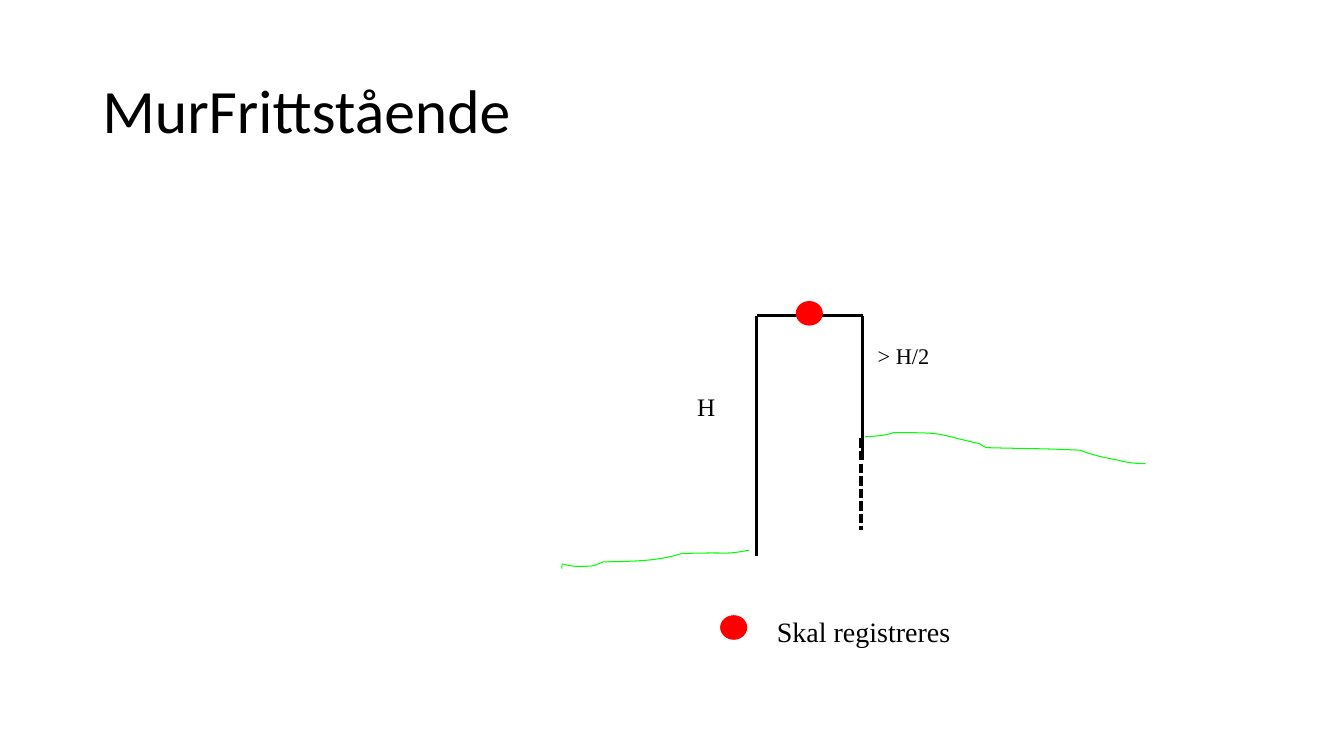
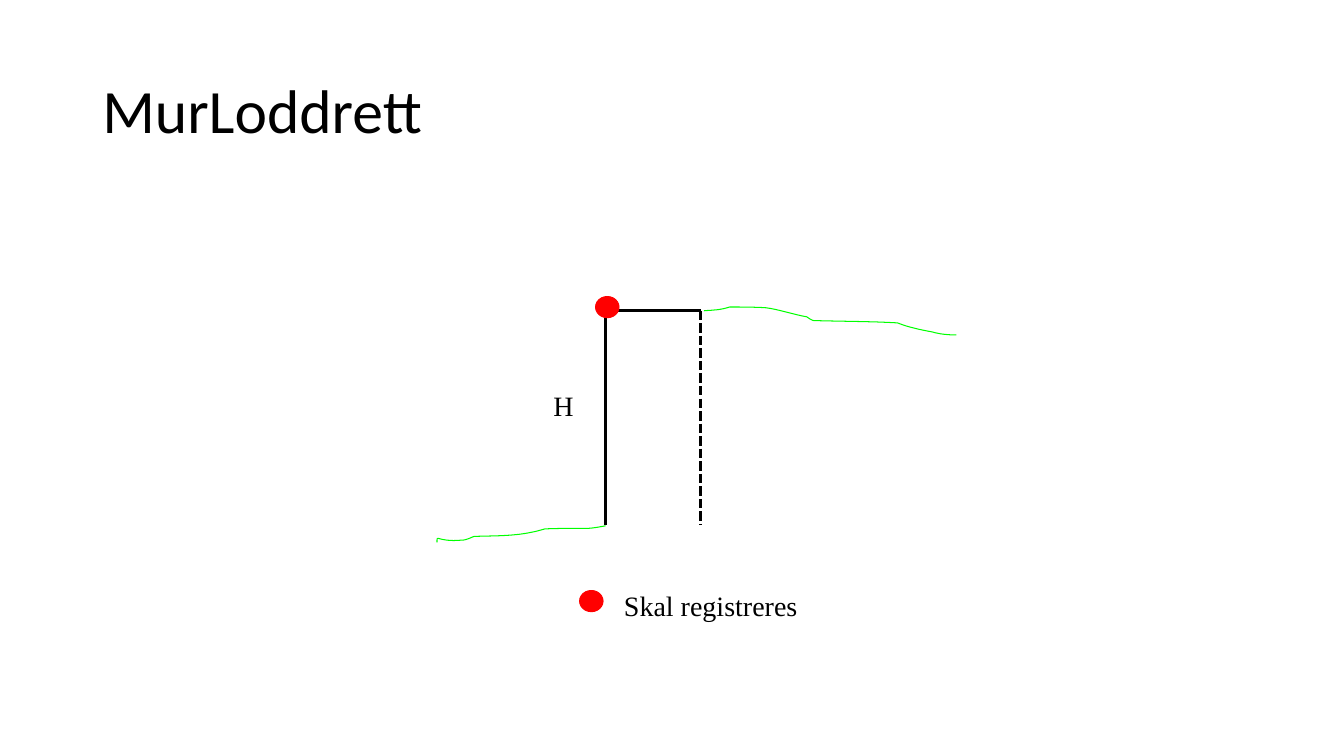
from dataclasses import dataclass
from lxml.etree import SubElement
from pptx import Presentation
from pptx.dml.color import RGBColor
from pptx.enum.dml import MSO_LINE
from pptx.enum.shapes import MSO_CONNECTOR, MSO_SHAPE
from pptx.enum.text import MSO_ANCHOR
from pptx.oxml.ns import qn
from pptx.util import Inches, Pt


@dataclass(frozen=True)
class Theme:
    ink: RGBColor = RGBColor(0, 0, 0)
    mark: RGBColor = RGBColor(255, 0, 0)
    ground: RGBColor = RGBColor(0, 255, 0)
    head: str = "Calibri"
    body: str = "Times New Roman"
    title: int = 44
    label: int = 20
    thick: float = 2.25
    thin: float = 0.75


theme = Theme()
COLS, ROWS, STEPS = 160, 90, 8
CELL = Inches(7.5) / ROWS


def grid(*cells):
    return [round(n * CELL) for n in cells]


def write(slide, text, box, size, font=theme.body):
    frame = slide.shapes.add_textbox(*grid(*box)).text_frame
    frame.word_wrap = True
    par = frame.paragraphs[0]
    par.text = text
    par.font.name = font
    par.font.size = Pt(size)
    par.font.color.rgb = theme.ink
    return frame


LOW = [(0, 0), (-3.2, 0.6), (-1.8, 0.2), (-8, 0.4),
       (-11.2, 1.4), (-14, 1.3), (-17.4, 1.4),
       (-17.9, 1.6), (-18.5, 1.9), (-19, 1.9),
       (-22.4, 2.2), (-22.3, 1), (-22.3, 2.2)]
HIGH = [(0, 0), (1.3, -0.1), (2.2, -0.1), (3.4, -0.5),
        (4.9, -0.5), (6.5, -0.5), (8.2, -0.4),
        (9.8, -0.2), (11.9, 0.5), (13.6, 0.8),
        (13.9, 1), (14.3, 1.3), (14.6, 1.3),
        (18.2, 1.4), (22, 1.4), (25.6, 1.6),
        (27.1, 2.2), (28.6, 2.5), (30.2, 2.8),
        (31.2, 3.1), (32.4, 3.2), (33.4, 3.2)]

walls = [
    dict(title="MurFrittstående", scale=1,
         solid=[(102.7, 37.6, 102.7, 54.8), (90.1, 66.2, 90.1, 37.6),
                (90.1, 37.6, 102.7, 37.6)],
         dotted=(102.5, 52.2, 102.5, 63.1),
         low=(89.2, 65.5), high=(103, 52),
         dots=[(85.8, 73.3), (94.8, 35.9)],
         labels=[("H", (81.8, 46, 9.5, 7.4), 18),
                 ("> H/2", (103.3, 40.2, 23.3, 7.4), 16),
                 ("Skal registreres", (91.3, 72.6, 41.3, 9.4), theme.label)]),
    dict(title="MurLoddrett", scale=0.9,
         solid=[(72.1, 62.5, 72.1, 37), (72.1, 37, 83.5, 37)],
         dotted=(83.4, 37, 83.4, 62.5),
         low=(72.1, 62.6), high=(83.8, 37),
         dots=[(70.9, 35.3), (69, 70.3)],
         labels=[("H", (64.7, 45.7, 8.6, 6.6), theme.label),
                 ("Skal registreres", (73.1, 69.5, 41, 8.4), theme.label)]),
]

deck = Presentation()
deck.slide_width, deck.slide_height = grid(COLS, ROWS)

for wall in walls:
    slide = deck.slides.add_slide(deck.slide_layouts[6])
    shapes = slide.shapes
    scale = wall["scale"]

    head = write(slide, wall["title"], (11, 4.8, 138, 17.4), theme.title, theme.head)
    head.vertical_anchor = MSO_ANCHOR.MIDDLE
    head.paragraphs[0].line_spacing = 0.9

    for ends in [*wall["solid"], wall["dotted"]]:
        edge = shapes.add_connector(MSO_CONNECTOR.STRAIGHT, *grid(*ends))
        edge.line.color.rgb = theme.ink
        edge.line.width = Pt(theme.thick)
        if ends == wall["dotted"]:
            edge.line.dash_style = MSO_LINE.SQUARE_DOT
        SubElement(edge._element.spPr, qn("a:effectLst"))

    for start, curve in ((wall["low"], LOW), (wall["high"], HIGH)):
        nodes = [grid(*(s + scale * n for s, n in zip(start, node))) for node in curve]
        trail = []
        for i in range(0, len(nodes) - 1, 3):
            for step in range(1, STEPS + 1):
                t = step / STEPS
                u = 1 - t
                parts = (u ** 3, 3 * u * u * t, 3 * u * t * t, t ** 3)
                trail.append([round(sum(p * n for p, n in zip(parts, axis)))
                              for axis in zip(*nodes[i:i + 4])])
        pen = shapes.build_freeform(*nodes[0])
        pen.add_line_segments(trail, close=False)
        soil = pen.convert_to_shape()
        soil.shadow.inherit = False
        soil.fill.background()
        soil.line.color.rgb = theme.ground
        soil.line.width = Pt(theme.thin)

    for spot in wall["dots"]:
        dot = shapes.add_shape(MSO_SHAPE.OVAL, *grid(*spot, 3.1 * scale, 2.8 * scale))
        dot.shadow.inherit = False
        dot.fill.solid()
        dot.fill.fore_color.rgb = theme.mark
        dot.line.color.rgb = theme.mark
        dot.line.width = Pt(theme.thin)

    for text, box, size in wall["labels"]:
        write(slide, text, box, size)

deck.save("out.pptx")
